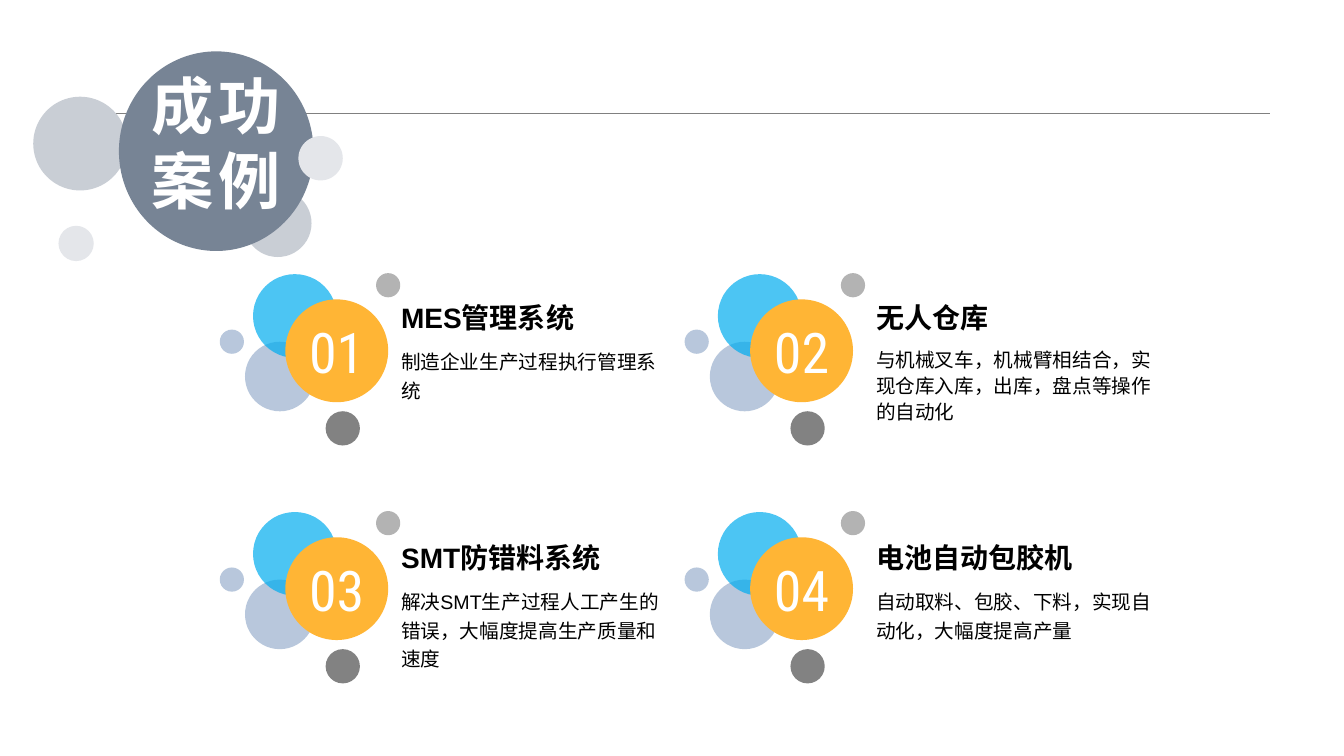
from pptx import Presentation
from pptx.dml.color import RGBColor
from pptx.enum.shapes import MSO_CONNECTOR as Conn, MSO_SHAPE as Shape
from pptx.enum.text import MSO_ANCHOR as Anchor, PP_ALIGN as Align
from pptx.oxml.ns import qn
from pptx.util import Inches, Pt
from lxml.etree import SubElement

# Bubbles: x, y, diameter, colour
TITLE_BACK = [(0.25, 1.73, 0.35, "E4E6EA"), (2.09, 1.37, 0.67, "C9CED5"),
              (0, 0.45, 0.93, "C9CED5")]
CASE_BACK = [(0.25, 0.68, 0.69, "9AB0CE"), (0.33, 0.01, 0.83, "00ADEF")]
CASE_FRONT = [(1.05, 1.37, 0.34, "4D4D4D"), (0, 0.56, 0.24, "9AB0CE"),
              (1.55, 0, 0.24, "949494")]

# Cases: heading, body, line spacing
CASES = [
    ("MES管理系统", "制造企业生产过程执行管理系统", 1.2),
    ("无人仓库", "与机械叉车，机械臂相结合，实现仓库入库，出库，盘点等操作的自动化", 1.1),
    ("SMT防错料系统", "解决SMT生产过程人工产生的错误，大幅度提高生产质量和速度", 1.2),
    ("电池自动包胶机", "自动取料、包胶、下料，实现自动化，大幅度提高产量", 1.2),
]
COLS = [(2.18, 3.88, 2.83), (6.79, 8.59, 3.11)]  # bubbles x, text x, text width
TOP, STEP = 2.71, 2.36


def color(code):
    return RGBColor.from_string(code)


def style(par, size, code, bold=False, font="Arial"):
    for run in par.runs:
        run.font.name = font
        run.font.size = Pt(size)
        run.font.bold = bold
        run.font.color.rgb = color(code)


def add_oval(slide, x, y, wide, high, code, alpha=100):
    oval = slide.shapes.add_shape(
        Shape.OVAL, Inches(x), Inches(y), Inches(wide), Inches(high))
    oval.shadow.inherit = False
    oval.line.fill.background()
    oval.fill.solid()
    oval.fill.fore_color.rgb = color(code)
    if alpha < 100:
        fill = oval.fill._xPr.find(qn("a:solidFill"))
        SubElement(fill[0], qn("a:alpha")).set("val", str(alpha * 1000))
    return oval


def add_dots(slide, x, y, dots, alpha=100):
    for dx, dy, size, code in dots:
        add_oval(slide, x + dx, y + dy, size, size, code, alpha)


def add_text(slide, x, y, wide, high, text, size, bold=False, wrap=True, gap=1.0):
    box = slide.shapes.add_textbox(Inches(x), Inches(y), Inches(wide), Inches(high))
    frame = box.text_frame
    frame.word_wrap = wrap
    frame.text = text
    par = frame.paragraphs[0]
    par.line_spacing = gap
    style(par, size, "000000", bold)


def add_rule(slide, x, y, wide):
    rule = slide.shapes.add_connector(
        Conn.STRAIGHT, Inches(x), Inches(y), Inches(x + wide), Inches(y))
    rule.line.color.rgb = color("808080")
    rule.line.width = Pt(0.25)
    SubElement(rule._element.spPr, qn("a:effectLst"))


def add_title(slide, x, y):
    add_dots(slide, x, y, TITLE_BACK)
    disc = add_oval(slide, x + 0.85, y, 1.93, 1.98, "778495")
    frame = disc.text_frame
    frame.word_wrap = False
    frame.vertical_anchor = Anchor.BOTTOM
    frame.text = "成功\n案例"
    for par in frame.paragraphs:
        par.alignment = Align.CENTER
        style(par, 44.4, "FFFFFF", True)
        for run in par.runs:
            run.font._element.set("spc", "300")
    add_dots(slide, x, y, [(2.63, 0.84, 0.44, "E4E6EA")])


def add_badge(slide, x, y, label):
    """Numbered disc with its cluster of bubbles."""
    add_dots(slide, x, y, CASE_BACK, 70)
    disc = add_oval(slide, x + 0.65, y + 0.26, 1.02, 1.02, "FFB535")
    frame = disc.text_frame
    frame.word_wrap = False
    frame.vertical_anchor = Anchor.MIDDLE
    frame.margin_left = frame.margin_right = 0
    frame.margin_top = frame.margin_bottom = 0
    frame.text = label
    par = frame.paragraphs[0]
    par.alignment = Align.CENTER
    style(par, 40, "FFFFFF", font="Roboto Condensed")
    add_dots(slide, x, y, CASE_FRONT, 70)


def add_case(slide, index, case):
    row, col = divmod(index, 2)
    left, text_x, wide = COLS[col]
    head, body, gap = case
    y = TOP + row * STEP
    add_badge(slide, left, y, f"{index + 1:02}")
    text_y = y + 0.22 + row * 0.02
    add_text(slide, text_x, text_y + 0.45, wide, 0.89, body, 14, gap=gap)
    add_text(slide, text_x, text_y, wide, 0.45, head, 20, bold=True, wrap=False)


def main():
    deck = Presentation()
    deck.slide_width, deck.slide_height = Inches(13.33), Inches(7.5)
    slide = deck.slides.add_slide(deck.slide_layouts[6])
    add_rule(slide, 0.73, 1.12, 11.87)
    for index, case in enumerate(CASES):
        add_case(slide, index, case)
    add_title(slide, 0.33, 0.51)
    deck.save("out.pptx")


if __name__ == "__main__":
    main()
